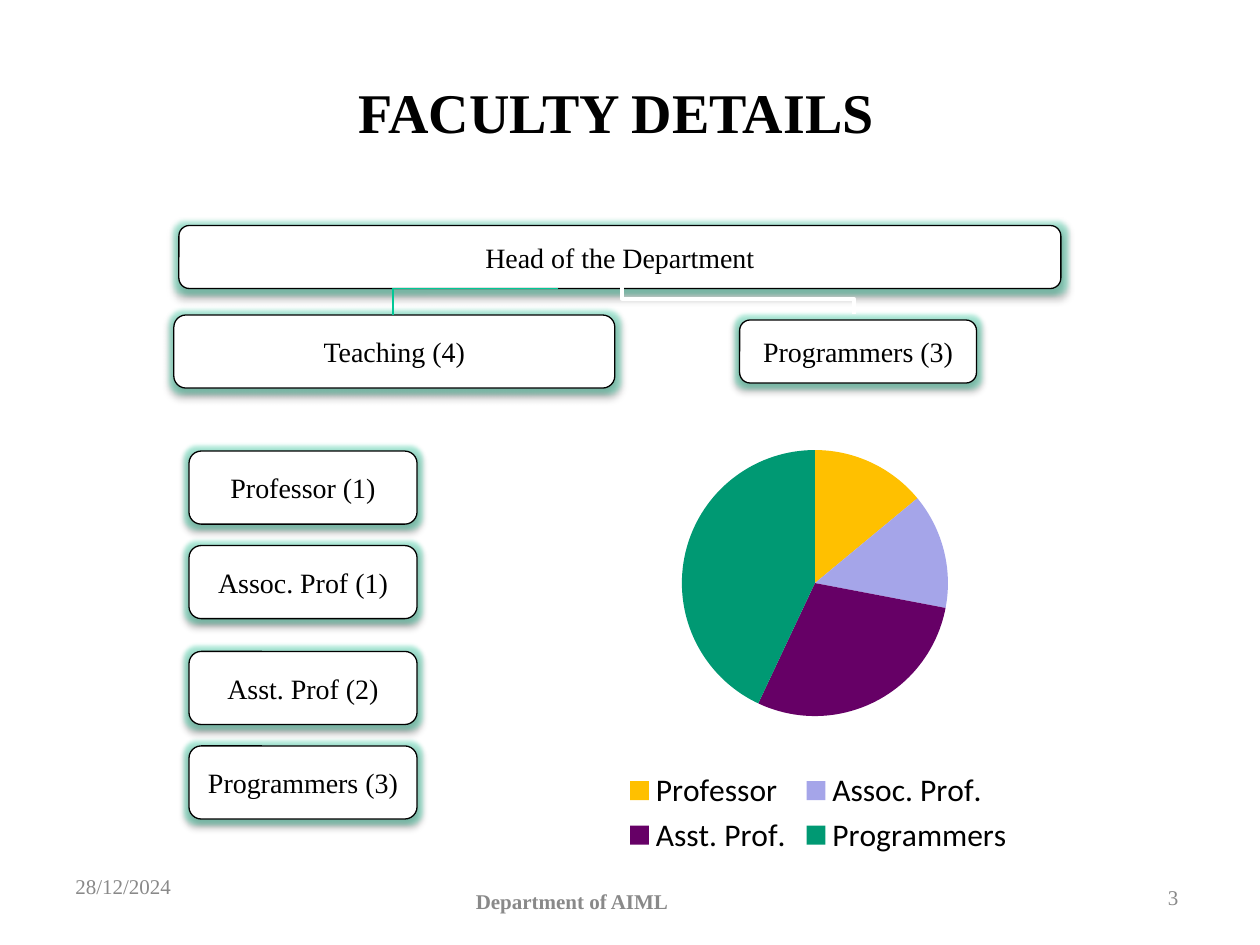
from lxml import etree
from pptx import Presentation
from pptx import util as u
from pptx.chart.data import CategoryChartData
from pptx.dml.color import RGBColor
from pptx.enum import chart as ch, shapes, text
from pptx.oxml import parse_xml
from pptx.oxml.ns import nsdecls, qn

SERIF = "Times New Roman"
BLACK, WHITE, GREY, GREEN = "000000", "FFFFFF", "898989", "00C896"
STAFF_LEFT, STAFF_WIDTH, BOX_HEIGHT = 1.5, 1.81, 0.58
PIE = {
    "Professor": (14, "FFC000"),
    "Assoc. Prof.": (14, "A5A5E9"),
    "Asst. Prof.": (29, "660066"),
    "Programmers": (43, "009973"),
}
EFFECTS = f"""<a:effectLst {nsdecls('a')}>
  <a:glow rad="63500"><a:srgbClr val="66E0BD"><a:alpha val="50000"/></a:srgbClr></a:glow>
  <a:outerShdw blurRad="38100" dist="30480" dir="5400000" rotWithShape="0">
    <a:srgbClr val="000000"><a:alpha val="45000"/></a:srgbClr>
  </a:outerShdw>
</a:effectLst>"""


def color(value):
    return RGBColor.from_string(value)


def inches(*lengths):
    return [u.Inches(length) for length in lengths]


def write(frame, words, size=16, fill=BLACK, bold=False, align="CENTER"):
    frame.word_wrap = True
    frame.vertical_anchor = text.MSO_ANCHOR.MIDDLE
    para = frame.paragraphs[0]
    para.alignment = getattr(text.PP_ALIGN, align)
    span = para.add_run()
    span.text = words
    span.font.name, span.font.size, span.font.bold = SERIF, u.Pt(size), bold
    span.font.color.rgb = color(fill)


def add_title(page, words):
    title = page.shapes.title
    title.left, title.top, title.width, title.height = inches(0.58, 0.33, 8.62, 1.1)
    write(title.text_frame, words, size=32, bold=True)


def add_box(page, words, left, top, width, height=BOX_HEIGHT):
    box = page.shapes.add_shape(shapes.MSO_SHAPE.ROUNDED_RECTANGLE,
                                *inches(left, top, width, height))
    box.fill.solid()
    box.fill.fore_color.rgb = color(WHITE)
    box.line.color.rgb = color(BLACK)
    box.line.width = u.Pt(0.75)
    box._element.spPr.append(parse_xml(EFFECTS))
    write(box.text_frame, words)


def add_elbow(page, begin, end, turn=0, bend=None, fill=WHITE, weight=2.25):
    """Elbow between two corners of its unturned frame; bend None is one corner."""
    link = page.shapes.add_connector(shapes.MSO_CONNECTOR.ELBOW,
                                     *inches(*begin, *end))
    link.line.color.rgb = color(fill)
    link.line.width = u.Pt(weight)
    properties = link._element.spPr
    properties.find(qn("a:xfrm")).set("rot", str(turn * 60000))
    outline = properties.find(qn("a:prstGeom"))
    if bend is None:
        outline.set("prst", "bentConnector2")
    else:
        guides = outline.get_or_add_avLst()
        etree.SubElement(guides, qn("a:gd"), name="adj1",
                         fmla=f"val {round(bend * 100000)}")
    etree.SubElement(properties, qn("a:effectLst"))


def add_footer(page, words, left, top, width, **form):
    box = page.shapes.add_textbox(*inches(left, top, width, 0.4))
    write(box.text_frame, words, size=12, fill=GREY, **form)


def set_plot_area(chart, **shares):
    area = chart._chartSpace.chart.plotArea
    for old in area.findall(qn("c:layout")):
        area.remove(old)
    layout = etree.Element(qn("c:layout"))
    manual = etree.SubElement(layout, qn("c:manualLayout"))
    settings = {"layoutTarget": "inner", "xMode": "edge", "yMode": "edge", **shares}
    for name, value in settings.items():
        etree.SubElement(manual, qn(f"c:{name}"), val=str(value))
    area.insert(0, layout)


def add_pie(page):
    data = CategoryChartData()
    data.categories = list(PIE)
    data.add_series("Series 1", [value for value, _ in PIE.values()])
    chart = page.shapes.add_chart(ch.XL_CHART_TYPE.PIE,
                                  *inches(3.83, 3.25, 5.33, 3.58), data).chart
    chart.has_title = False
    chart.font.name, chart.font.size = "Calibri", u.Pt(18)
    chart.font.color.rgb = color(BLACK)
    chart.has_legend = True
    chart.legend.position = ch.XL_LEGEND_POSITION.BOTTOM
    chart.legend.include_in_layout = False
    plot = chart.plots[0]
    plot.vary_by_categories = True
    for index, (_, fill) in enumerate(PIE.values()):
        wedge = plot.series[0].points[index].format.fill
        wedge.solid()
        wedge.fore_color.rgb = color(fill)
    set_plot_area(chart, x=0.09, y=0.09, w=0.81, h=0.59)


def main():
    deck = Presentation()
    deck.slide_width, deck.slide_height = inches(10, 7.5)
    page = deck.slides.add_slide(deck.slide_layouts[5])
    add_title(page, "FACULTY DETAILS")

    # Department head and the links down to staff
    add_box(page, "Head of the Department", 1.42, 1.79, 7, 0.5)
    add_elbow(page, (3.02, 3.46), (3.73, 3.58), turn=90)
    add_elbow(page, (4.24, 4.09), (2.7, 3.78), turn=90, bend=0.03)
    add_elbow(page, (3.31, 5.46), (3.88, 3.17))

    # Programmers branch
    add_box(page, "Programmers (3)", 5.87, 2.54, 1.88, 0.5)
    add_elbow(page, (5.98, 1.45), (5.73, 3.29), turn=270, bend=0.5)

    # Teaching branch
    add_box(page, "Teaching (4)", 1.38, 2.5, 3.5)
    add_elbow(page, (3.12, 2.5), (4.43, 2.29), turn=180, fill=GREEN, weight=0.75)

    # Staff column
    staff = {"Professor (1)": 3.58, "Assoc. Prof (1)": 4.33,
             "Asst. Prof (2)": 5.17, "Programmers (3)": 5.92}
    for words, top in staff.items():
        add_box(page, words, STAFF_LEFT, top, STAFF_WIDTH)

    add_pie(page)

    # Footer
    add_footer(page, "28/12/2024", 0.5, 6.83, 2.33, align="LEFT")
    add_footer(page, "Department of AIML", 2.5, 6.95, 4.08, bold=True)
    add_footer(page, "3", 9.17, 6.92, 0.25, align="RIGHT")

    deck.save("out.pptx")


if __name__ == "__main__":
    main()
